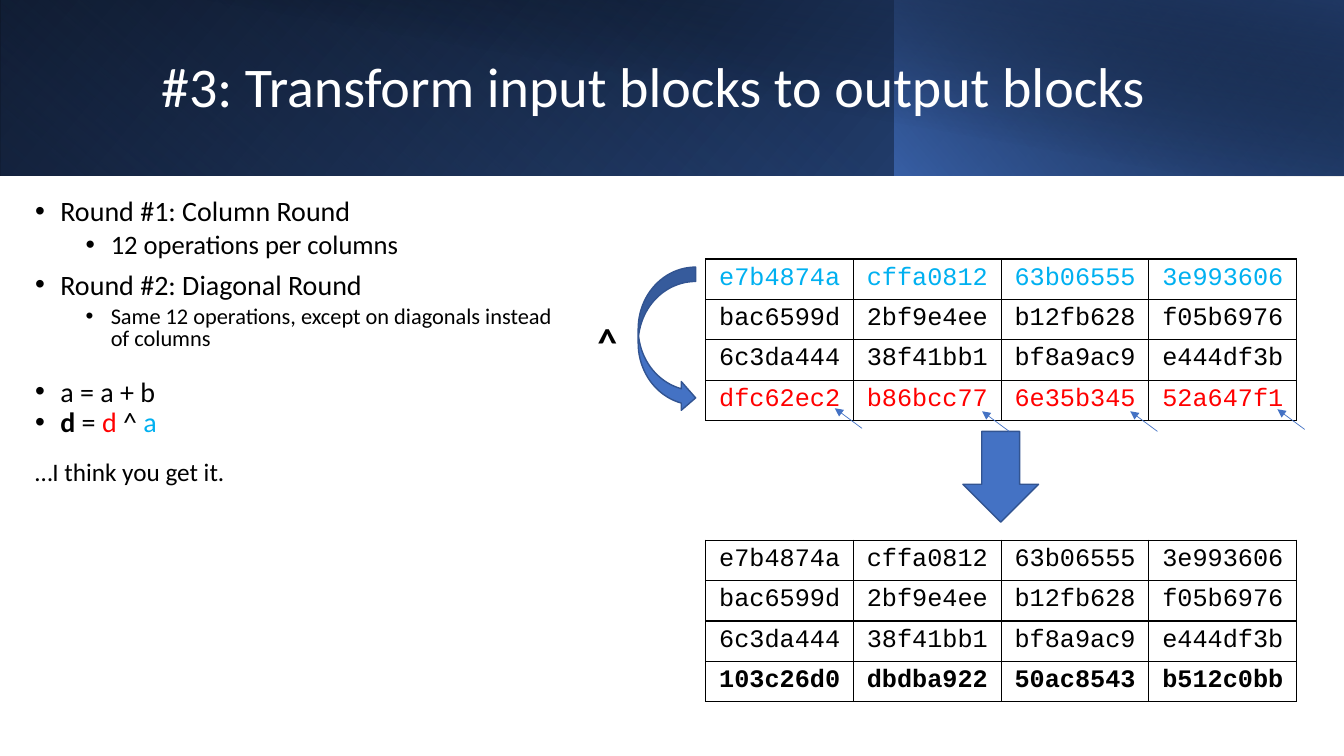
"""Build the slide that shows input blocks being transformed to output blocks."""
from lxml.etree import SubElement
from pptx import Presentation
from pptx.dml.color import RGBColor
from pptx.enum.shapes import MSO_CONNECTOR, MSO_SHAPE
from pptx.enum.text import MSO_ANCHOR, PP_ALIGN
from pptx.oxml import parse_xml
from pptx.oxml.ns import nsdecls, qn
from pptx.util import Emu, Pt

PX = 9144
BLACK, WHITE, RED, SKY = "000000", "FFFFFF", "FF0000", "00B0F0"
BLUE, NAVY, OUTLINE = "4472C4", "203864", "325491"
COLUMN, ROW = 1465, 38
TABLE_LEFT = 700

SHARED_ROWS = [
    "e7b4874a cffa0812 63b06555 3e993606",
    "bac6599d 2bf9e4ee b12fb628 f05b6976",
    "6c3da444 38f41bb1 bf8a9ac9 e444df3b",
]
INPUT_ROW = "dfc62ec2 b86bcc77 6e35b345 52a647f1"
OUTPUT_ROW = "103c26d0 dbdba922 50ac8543 b512c0bb"


def px(*lengths):
    """Turn px lengths into EMU."""
    return [Emu(length * PX) for length in lengths]


def rgb(code):
    """Turn a hex string into a colour."""
    return RGBColor.from_string(code)


def style(run, size, colour=BLACK, bold=False, face="Calibri"):
    """Format one run."""
    run.font.name, run.font.size, run.font.bold = face, Pt(size), bold
    run.font.color.rgb = rgb(colour)


def add_shape(slide, kind, box):
    """Add a preset shape with no shadow."""
    shape = slide.shapes.add_shape(kind, *px(*box))
    shape.shadow.inherit = False
    return shape


def add_gradient(slide, box, stops, angle, flip=True, rotation=0):
    """Add a banner panel with (position, colour, opacity) gradient stops."""
    panel = add_shape(slide, MSO_SHAPE.RECTANGLE, box)
    panel.line.fill.background()
    panel.rotation = rotation
    properties = panel._element.spPr
    if flip:
        properties.find(qn("a:xfrm")).set("flipH", "1")
    marks = "".join(
        f'<a:gs pos="{position * 1000}"><a:srgbClr val="{colour}">'
        f'<a:alpha val="{opacity * 1000}"/></a:srgbClr></a:gs>'
        for position, colour, opacity in stops)
    gradient = parse_xml(
        f'<a:gradFill {nsdecls("a")} rotWithShape="1"><a:gsLst>{marks}</a:gsLst>'
        f'<a:lin ang="{angle * 60000}" scaled="0"/></a:gradFill>')
    properties.find(qn("a:prstGeom")).addnext(gradient)


def add_block_arrow(slide, kind, box):
    """Add a solid blue block arrow."""
    arrow = add_shape(slide, kind, box)
    arrow.fill.solid()
    arrow.fill.fore_color.rgb = rgb(BLUE)
    arrow.line.color.rgb = rgb(OUTLINE)
    arrow.line.width = Pt(1)


def add_text(slide, box, text, size, colour=BLACK, bold=False, wrap=True):
    """Add a one-paragraph text box and return its frame."""
    frame = slide.shapes.add_textbox(*px(*box)).text_frame
    frame.word_wrap = wrap
    frame.text = text
    style(frame.paragraphs[0].runs[0], size, colour, bold)
    return frame


def set_bullet(paragraph, indent):
    """Give a paragraph a round bullet with a hanging indent."""
    properties = paragraph._p.get_or_add_pPr()
    properties.set("marL", str(indent * PX))
    properties.set("indent", str(-25 * PX))
    SubElement(properties, qn("a:buFont")).set("typeface", "Arial")
    SubElement(properties, qn("a:buChar")).set("char", "•")


def add_bullets(slide, box, items, spacing):
    """Add a list of (indent, size, space before, runs) items."""
    frame = slide.shapes.add_textbox(*px(*box)).text_frame
    frame.word_wrap = True
    for index, (indent, size, before, parts) in enumerate(items):
        paragraph = frame.add_paragraph() if index else frame.paragraphs[0]
        set_bullet(paragraph, indent)
        paragraph.line_spacing = spacing
        paragraph.space_before = Pt(before)
        for text, colour, bold in parts:
            run = paragraph.add_run()
            run.text = text
            style(run, size, colour, bold)


def set_borders(cell):
    """Draw a thin black line on every side of a cell."""
    for side in ("lnL", "lnR", "lnT", "lnB"):
        cell._tc.get_or_add_tcPr().append(parse_xml(
            f'<a:{side} {nsdecls("a")} w="12700"><a:solidFill>'
            f'<a:srgbClr val="{BLACK}"/></a:solidFill></a:{side}>'))


def add_blocks(slide, top, rows, colours, bold_last=False):
    """Add a grid of hex blocks, one colour per row."""
    box = px(TABLE_LEFT, top, 586, ROW * len(rows))
    grid = slide.shapes.add_table(len(rows), 4, *box).table
    grid.first_row = grid.horz_banding = False
    for column in grid.columns:
        column.width = Emu(COLUMN * PX // 10)
    for r, (row, colour) in enumerate(zip(rows, colours)):
        for c, block in enumerate(row.split()):
            cell = grid.cell(r, c)
            set_borders(cell)
            cell.fill.background()
            cell.text_frame.text = block
            paragraph = cell.text_frame.paragraphs[0]
            paragraph.alignment = PP_ALIGN.CENTER
            bold = bold_last and r == len(rows) - 1
            style(paragraph.runs[0], 18, colour, bold, "Courier New")


def add_pointer(slide, x, y):
    """Add a thin arrow that starts at x, y and points up and left."""
    pointer = slide.shapes.add_connector(
        MSO_CONNECTOR.STRAIGHT, *px(x, y, x - 27, y - 20))
    pointer.line.color.rgb = rgb(BLUE)
    pointer.line.width = Pt(0.5)
    SubElement(pointer.line._get_or_add_ln(), qn("a:tailEnd")).set("type", "triangle")
    SubElement(pointer._element.spPr, qn("a:effectLst"))


def add_banner(slide):
    """Add the layered gradient banner and the title."""
    add_gradient(slide, (0, 0, 1333, 174),
                 [(0, BLACK, 100), (100, "2F5597", 100)], 140)
    add_gradient(slide, (0, 0, 888, 174),
                 [(20, BLUE, 0), (100, NAVY, 55)], 230, rotation=180)
    add_gradient(slide, (887, 0, 446, 174),
                 [(0, BLUE, 66), (100, BLACK, 30)], 220)
    add_gradient(slide, (50, 0, 1283, 175),
                 [(50, BLACK, 0), (99, NAVY, 52)], 280, flip=False)
    title = add_text(slide, (150, 32, 1082, 113),
                     "#3: Transform input blocks to output blocks", 40, WHITE)
    title.vertical_anchor = MSO_ANCHOR.MIDDLE
    title.paragraphs[0].line_spacing = 0.9


def main():
    """Build and save the slide."""
    deck = Presentation()
    deck.slide_width, deck.slide_height = px(1333, 750)
    slide = deck.slides.add_slide(deck.slide_layouts[6])
    add_banner(slide)

    rounds = [
        (25, 20, 0, "Round #1: Column Round"),
        (75, 19, 5, "12 operations per columns"),
        (25, 20, 10, "Round #2: Diagonal Round"),
        (75, 16, 5, "Same 12 operations, except on diagonals instead of columns"),
    ]
    add_bullets(slide, (25, 194, 541, 174),
                [(*item, [(text, BLACK, False)]) for *item, text in rounds], 0.8)
    steps = [
        [("a = a + b", BLACK, False)],
        [("d", BLACK, True), (" = ", BLACK, False), ("d", RED, False),
         (" ^ ", BLACK, False), ("a", SKY, False)],
    ]
    add_bullets(slide, (25, 370, 541, 75), [(25, 20, 0, step) for step in steps], 0.9)
    add_text(slide, (25, 448, 210, 40), "…I think you get it.", 18, wrap=False)

    add_blocks(slide, 257, SHARED_ROWS + [INPUT_ROW], [SKY, BLACK, BLACK, RED])
    add_block_arrow(slide, MSO_SHAPE.DOWN_ARROW, (955, 428, 75, 90))
    add_blocks(slide, 536, SHARED_ROWS + [OUTPUT_ROW], [BLACK] * 4, bold_last=True)
    for index, y in enumerate((425, 428, 428, 426)):
        add_pointer(slide, 855 + index * COLUMN // 10, y)
    add_block_arrow(slide, MSO_SHAPE.CURVED_RIGHT_ARROW, (633, 265, 57, 144))
    add_text(slide, (583, 310, 48, 57), "^", 28, bold=True)
    deck.save("out.pptx")


if __name__ == "__main__":
    main()
